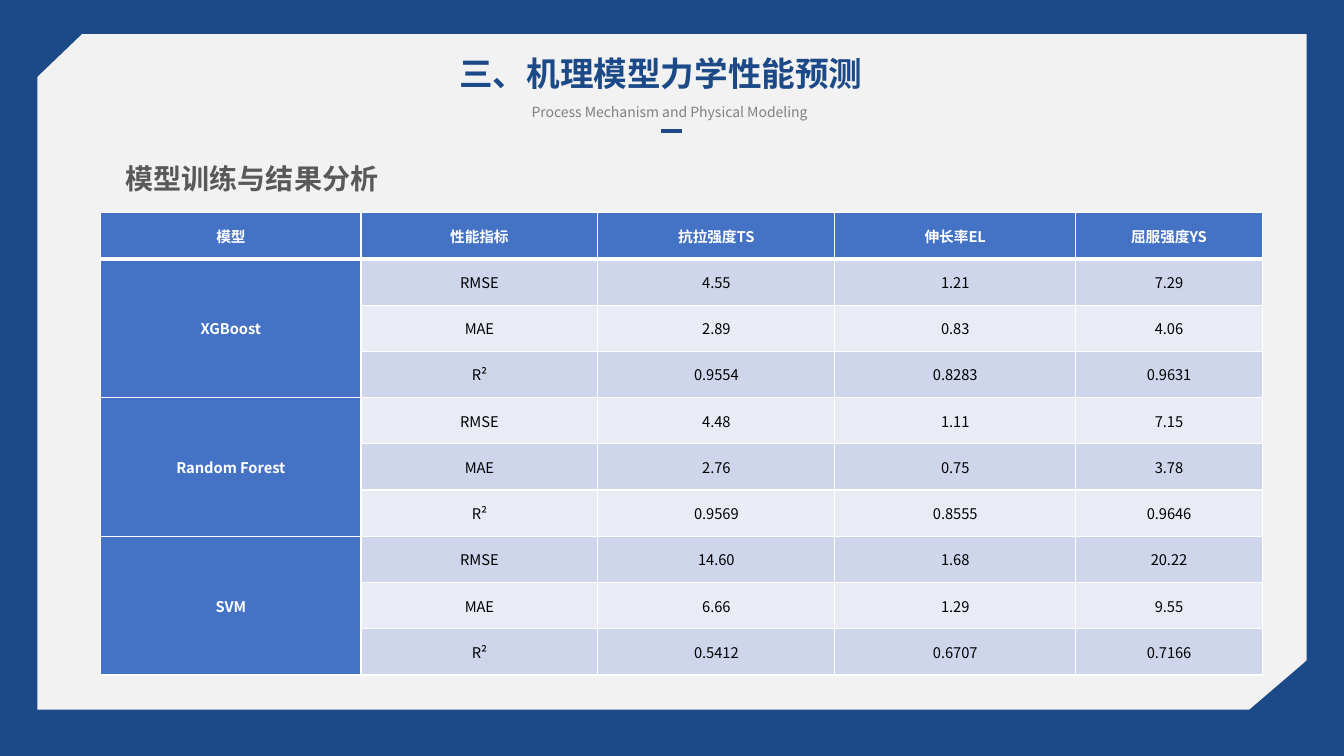
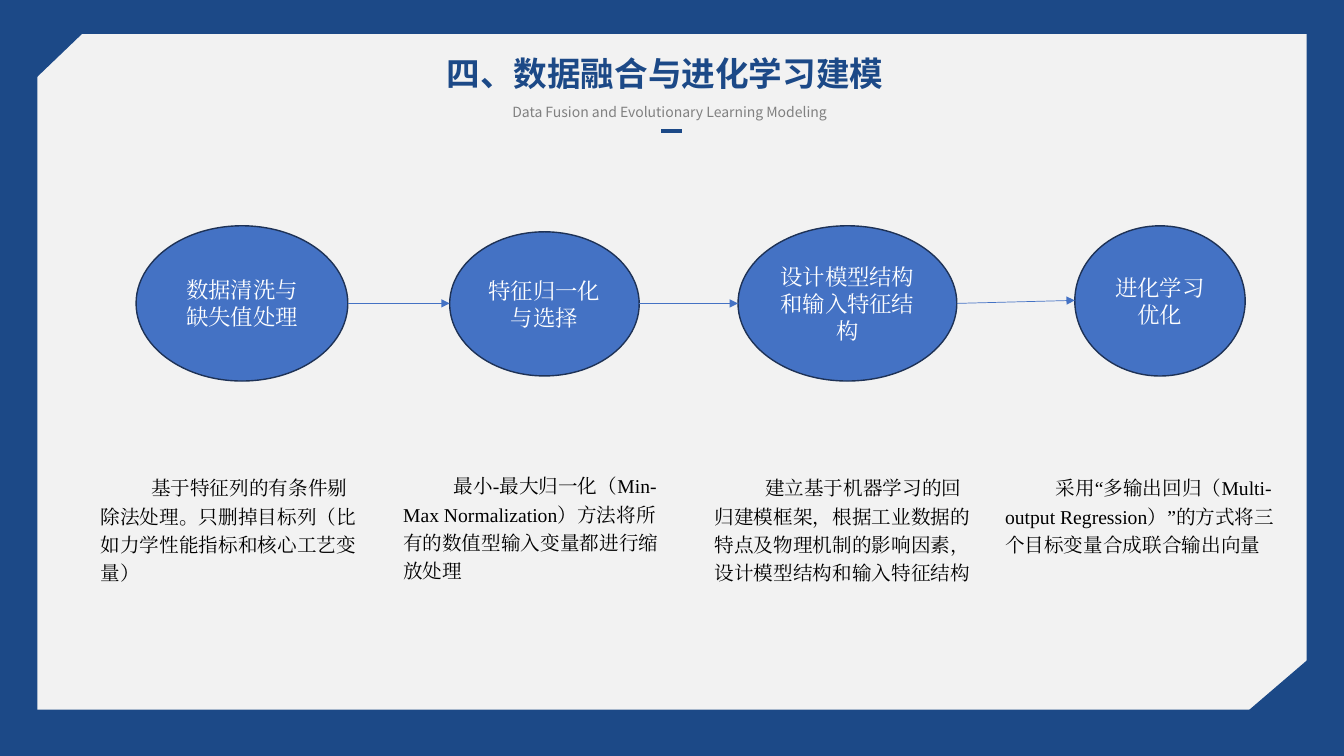
from lxml import etree
from pptx import Presentation
from pptx.dml.color import RGBColor
from pptx.enum.shapes import MSO_CONNECTOR, MSO_SHAPE
from pptx.enum.text import MSO_ANCHOR, MSO_AUTO_SIZE, PP_ALIGN
from pptx.oxml.ns import qn
from pptx.util import Emu, Pt

PX = 9144  # 100 px to the inch
SANS = "Noto Sans CJK SC"
SERIF = "Times New Roman"
LEFT, CENTER = PP_ALIGN.LEFT, PP_ALIGN.CENTER
TOP, MIDDLE = MSO_ANCHOR.TOP, MSO_ANCHOR.MIDDLE
RECTANGLE, OVAL = MSO_SHAPE.RECTANGLE, MSO_SHAPE.OVAL
STRAIGHT = MSO_CONNECTOR.STRAIGHT
COLORS = {
    "navy": "1C4987",
    "panel": "F2F2F2",
    "blue": "4472C4",
    "outline": "1E3256",
    "band_dark": "CFD5EA",
    "band_light": "E9EBF5",
    "heading": "595959",
    "subtitle": "808080",
    "white": "FFFFFF",
    "black": "000000",
}

METRICS = ["RMSE", "MAE", "R²"]
TABLE_HEADER = ["模型", "性能指标", "抗拉强度TS", "伸长率EL", "屈服强度YS"]
RESULTS = {
    "XGBoost": [("4.55", "1.21", "7.29"), ("2.89", "0.83", "4.06"),
                ("0.9554", "0.8283", "0.9631")],
    "Random Forest": [("4.48", "1.11", "7.15"), ("2.76", "0.75", "3.78"),
                      ("0.9569", "0.8555", "0.9646")],
    "SVM": [("14.60", "1.68", "20.22"), ("6.66", "1.29", "9.55"),
            ("0.5412", "0.6707", "0.7166")],
}
# Each step: ellipse box, latin font, label, description box, description
STEPS = [
    ((135, 224, 210, 154), SANS, "数据清洗与缺失值处理", (90, 463, 283, 121),
     "基于特征列的有条件剔除法处理。只删掉目标列（比如力学性能指标和核心工艺变量）"),
    ((446, 230, 188, 143), SANS, "特征归一化与选择", (390, 461, 283, 121),
     "最小-最大归一化（Min-Max Normalization）方法将所有的数值型输入变量都进行缩放处理"),
    ((732, 224, 217, 154), SERIF, "设计模型结构和输入特征结构", (699, 463, 283, 121),
     "建立基于机器学习的回归建模框架，根据工业数据的特点及物理机制的影响因素，"
     "设计模型结构和输入特征结构"),
    ((1066, 224, 169, 149), SANS, "进化学习优化", (987, 463, 299, 121),
     "采用“多输出回归（Multi-output Regression）”的方式将三个目标变量合成联合输出向量"),
]


def px(*lengths):
    return [Emu(length * PX) for length in lengths]


def rgb(name):
    return RGBColor.from_string(COLORS[name])


def write(frame, text, size=14, color="black", bold=False, font=SANS, east_font=SANS,
          align=LEFT, spacing=1.0, indent=0, anchor=TOP):
    """Fill a text frame with one formatted paragraph."""
    frame.word_wrap = True
    frame.vertical_anchor = anchor
    para = frame.paragraphs[0]
    para.alignment = align
    para.line_spacing = spacing
    if indent:
        para._p.get_or_add_pPr().set("indent", str(indent * PX))
    span = para.add_run()
    span.text = text
    span.font.name = font
    span.font.size = Pt(size)
    span.font.bold = bold
    span.font.color.rgb = rgb(color)
    latin = span.font._element.find(qn("a:latin"))
    east = etree.Element(qn("a:ea"), typeface=east_font)
    latin.addnext(east)


def add_text(page, box, text, **style):
    write(page.shapes.add_textbox(*px(*box)).text_frame, text, **style)


def add_shape(page, kind, box, fill, line=None, rotation=0):
    shape = page.shapes.add_shape(kind, *px(*box))
    shape.shadow.inherit = False
    shape.rotation = rotation
    shape.fill.solid()
    shape.fill.fore_color.rgb = rgb(fill)
    if line:
        shape.line.color.rgb = rgb(line)
        shape.line.width = Pt(1)
    else:
        shape.line.fill.background()
    return shape


def add_line(page, start, end, color, width, arrow=False):
    line = page.shapes.add_connector(STRAIGHT, *px(*start, *end))
    line.line.color.rgb = rgb(color)
    line.line.width = Pt(width)
    if arrow:
        etree.SubElement(line.line._get_or_add_ln(), qn("a:tailEnd"), type="triangle")
    etree.SubElement(line.element.spPr, qn("a:effectLst"))


def build_frame(page, layout):
    """Draw the panel with its cut corners and move it into the shared layout."""
    parts = [
        add_shape(page, RECTANGLE, (37, 34, 1259, 670), "panel"),
        add_shape(page, RECTANGLE, (-12, -41, 80, 139), "navy", "navy", 46.2),
        add_shape(page, RECTANGLE, (1252, 633, 85, 161), "navy", "navy", 49.4),
    ]
    for position, part in enumerate(parts, start=2):
        layout.shapes.element.insert(position, part.element)


def build_header(page, box, title, subtitle):
    left, top, width, height = box
    holder = page.shapes.title
    holder.left, holder.top, holder.width, holder.height = px(*box)
    frame = holder.text_frame
    frame.auto_size = MSO_AUTO_SIZE.NONE
    frame.margin_left = frame.margin_right = frame.margin_top = frame.margin_bottom = 0
    write(frame, title, size=24, color="navy", bold=True, align=CENTER)
    add_text(page, (left, top + 37, 468, 32), subtitle, size=10, color="subtitle",
             align=CENTER, spacing=1.5)
    add_line(page, (left + 226, top + 78), (left + 246, top + 78), "navy", 3)


def format_cell(cell, text, fill, color, bold, top_border, bottom_border):
    margin, = px(1)
    cell.margin_left = cell.margin_right = cell.margin_top = cell.margin_bottom = margin
    cell.vertical_anchor = MIDDLE
    properties = cell._tc.get_or_add_tcPr()
    borders = {"a:lnL": 1, "a:lnR": 1, "a:lnT": top_border, "a:lnB": bottom_border}
    for side, width in borders.items():
        border = etree.SubElement(properties, qn(side), w=str(Pt(width)))
        solid = etree.SubElement(border, qn("a:solidFill"))
        etree.SubElement(solid, qn("a:srgbClr"), val=COLORS["white"])
    cell.fill.solid()
    cell.fill.fore_color.rgb = rgb(fill)
    if text:
        write(cell.text_frame, text, size=10.5, color=color, bold=bold,
              align=CENTER, anchor=MIDDLE)


def build_results_table(page, box):
    rows = [TABLE_HEADER]
    for model, scores in RESULTS.items():
        for index, (metric, values) in enumerate(zip(METRICS, scores)):
            rows.append(["" if index else model, metric, *values])
    table = page.shapes.add_table(len(rows), len(TABLE_HEADER), *px(*box)).table
    for column, width in zip(table.columns, px(258, 235, 235, 239, 185)):
        column.width = width
    for r, texts in enumerate(rows):
        band = "band_dark" if r % 2 else "band_light"
        for c, text in enumerate(texts):
            strong = r == 0 or c == 0
            format_cell(table.cell(r, c), text, "blue" if strong else band,
                        "white" if strong else "black", strong,
                        3 if r == 1 else 1, 3 if r == 0 else 1)
    for first in range(1, len(rows), len(METRICS)):
        table.cell(first, 0).merge(table.cell(first + len(METRICS) - 1, 0))


def build_step(page, box, font, label, note_box, note):
    oval = add_shape(page, OVAL, box, "blue", "outline")
    write(oval.text_frame, label, size=16, color="white", font=font, east_font=SERIF,
          align=CENTER, anchor=MIDDLE)
    add_text(page, note_box, note, font=SERIF, east_font=SERIF, spacing=1.2, indent=50)


def build_flow(page, steps):
    for step in steps:
        build_step(page, *step)
    boxes = [step[0] for step in steps]
    for (x, y, w, h), (next_x, next_y, _, next_h) in zip(boxes, boxes[1:]):
        add_line(page, (x + w, y + h // 2), (next_x, next_y + next_h // 2),
                 "blue", 0.5, arrow=True)


def main():
    deck = Presentation()
    deck.slide_width, deck.slide_height = px(1333, 750)
    background = deck.slide_master.background.fill
    background.solid()
    background.fore_color.rgb = rgb("navy")
    layout = deck.slide_layouts[5]

    results = deck.slides.add_slide(layout)
    build_frame(results, layout)
    build_header(results, (430, 52, 451, 48), "三、机理模型力学性能预测",
                 "Process Mechanism and Physical Modeling")
    add_text(results, (103, 149, 294, 47), "模型训练与结果分析", size=20,
             color="heading", bold=True, align=CENTER, spacing=1.2)
    build_results_table(results, (100, 211, 1152, 459))

    fusion = deck.slides.add_slide(layout)
    build_header(fusion, (430, 52, 459, 48), "四、数据融合与进化学习建模",
                 "Data Fusion and Evolutionary Learning Modeling")
    build_flow(fusion, STEPS)

    deck.save("out.pptx")


if __name__ == "__main__":
    main()
